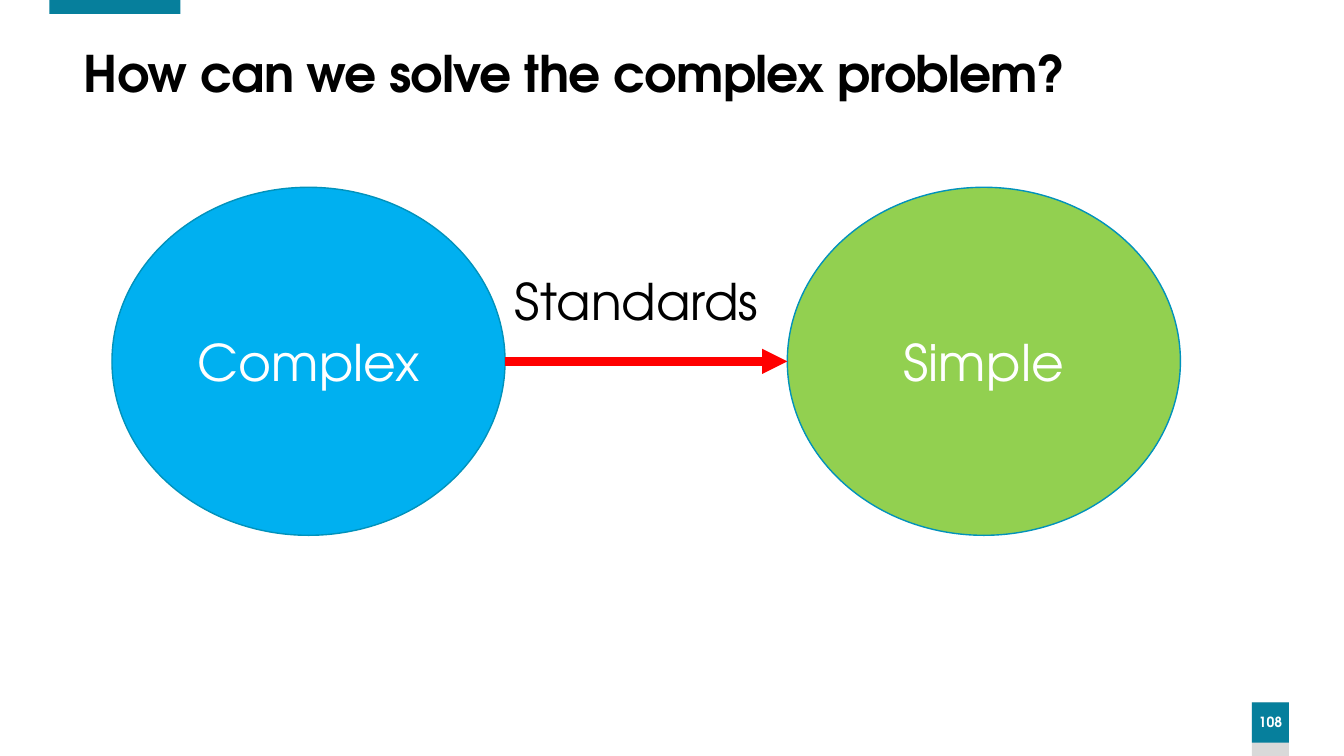
from lxml.etree import SubElement as Sub
from pptx import Presentation
from pptx.dml.color import RGBColor as Rgb
from pptx.enum.shapes import MSO_CONNECTOR as Conn, MSO_SHAPE as Kind
from pptx.enum.text import MSO_ANCHOR as Anchor, MSO_AUTO_SIZE as Fit, PP_ALIGN as Align
from pptx.oxml.ns import qn
from pptx.util import Pt

FONT = "TeX Gyre Adventor"
HUES = {
    "teal": "067F9C", "gray": "D9D9D9", "edge": "0192BB", "blue": "00B0F0",
    "green": "92D050", "red": "FF0000", "white": "FFFFFF", "black": "000000",
}


class Deck:
    def __init__(self):
        self.show = Presentation()
        self.show.slide_width, self.show.slide_height = Pt(960), Pt(540)
        self.page = self.show.slides.add_slide(self.show.slide_layouts[5])

    def hue(self, name):
        return Rgb.from_string(HUES[name])

    def fill_text(self, shape, text, size, hue, align=Align.LEFT, bold=False, lead=1.0):
        frame = shape.text_frame
        frame.text = text
        frame.word_wrap = True
        line = frame.paragraphs[0]
        line.alignment, line.line_spacing = align, lead
        font = line.runs[0].font
        font.name, font.size, font.bold = FONT, Pt(size), bold
        font.color.rgb = self.hue(hue)
        return frame

    def title(self, text, box):
        head = self.page.shapes.title
        head.left, head.top, head.width, head.height = map(Pt, box)
        frame = self.fill_text(head, text, 36, "black", bold=True, lead=0.9)
        frame.vertical_anchor, frame.auto_size = Anchor.MIDDLE, Fit.NONE
        head.element.find(".//" + qn("a:rPr")).set("spc", "-60")

    def shape(self, kind, box, fill, edge=None):
        item = self.page.shapes.add_shape(kind, *map(Pt, box))
        item.shadow.inherit = False
        item.fill.solid()
        item.fill.fore_color.rgb = self.hue(fill)
        if edge:
            item.line.color.rgb, item.line.width = self.hue(edge), Pt(1)
        else:
            item.line.fill.background()
        return item

    def number(self, text, box):
        tile = self.shape(Kind.RECTANGLE, box, "teal")
        frame = self.fill_text(tile, text, 10, "white", Align.CENTER, True, 0.9)
        frame.vertical_anchor = Anchor.MIDDLE
        frame.margin_left = frame.margin_right = 0

    def circle(self, text, box, fill):
        item = self.shape(Kind.OVAL, box, fill, "edge")
        frame = self.fill_text(item, text, 36, "white", Align.CENTER)
        frame.vertical_anchor = Anchor.MIDDLE

    def label(self, text, box):
        self.fill_text(self.page.shapes.add_textbox(*map(Pt, box)), text, 36, "black")

    def arrow(self, start, end, hue, width):
        item = self.page.shapes.add_connector(Conn.STRAIGHT, *map(Pt, start + end))
        item.line.color.rgb, item.line.width = self.hue(hue), Pt(width)
        props = item.element.spPr
        Sub(props.find(qn("a:ln")), qn("a:tailEnd"), type="triangle")
        Sub(props, qn("a:effectLst"))


def main():
    deck = Deck()
    deck.shape(Kind.RECTANGLE, (894.2, 501.8, 26.6, 38.2), "gray")
    deck.number("108", (894.2, 501.8, 26.6, 28.8))
    deck.shape(Kind.RECTANGLE, (35.3, 0, 93.6, 10), "teal")
    deck.title("How can we solve the complex problem?", (52.6, 27, 741, 55))

    left, right, top, wide, high = 80, 562.4, 133.8, 280.8, 248.6
    deck.circle("Complex", (left, top, wide, high), "blue")
    deck.circle("Simple", (right, top, wide, high), "green")
    edge, mid = left + wide, top + high / 2
    deck.arrow((edge, mid), (right, mid), "red", 6)
    deck.label("Standards", (edge, 189.4, 237.6, 51))
    deck.show.save("out.pptx")


if __name__ == "__main__":
    main()
